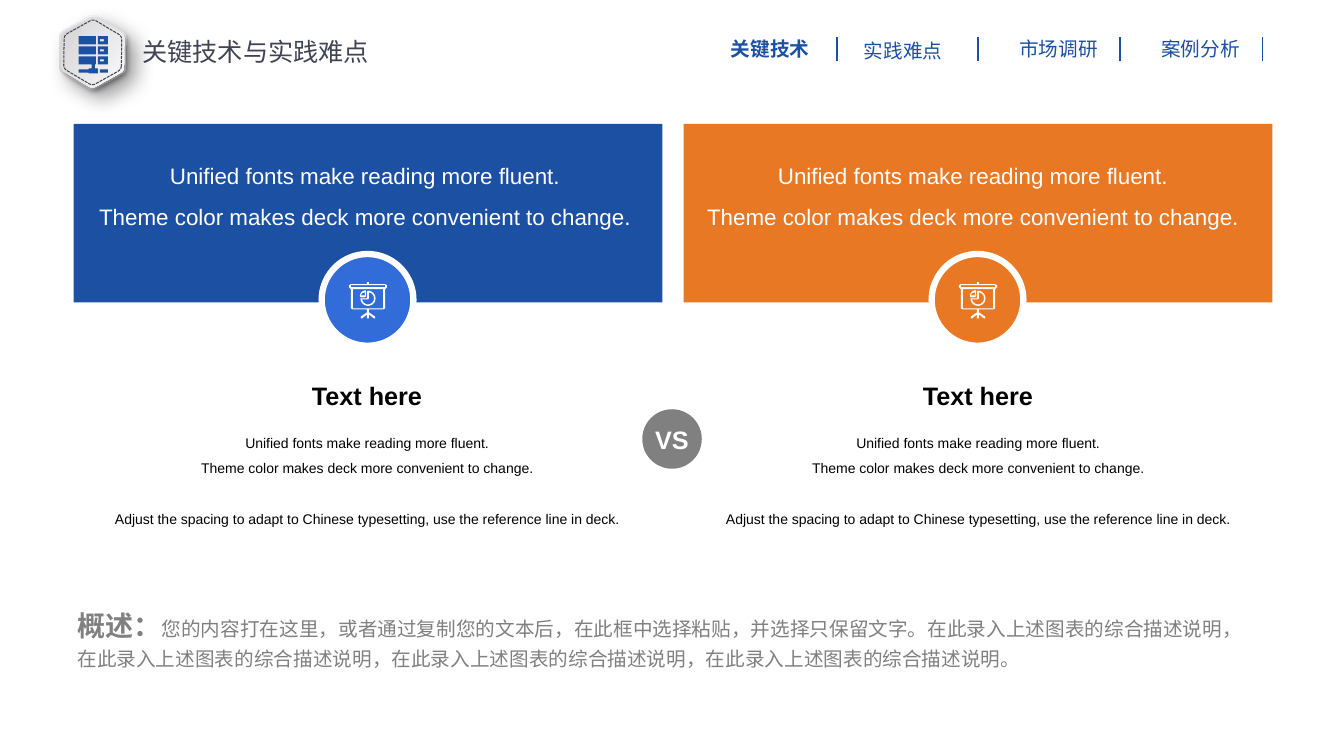
from dataclasses import dataclass
from math import cos, radians, sin

from lxml.etree import SubElement
from pptx import Presentation
from pptx.dml.color import RGBColor
from pptx.enum.dml import MSO_LINE
from pptx.enum.shapes import MSO_CONNECTOR, MSO_SHAPE as Preset
from pptx.enum.text import MSO_ANCHOR as Anchor, MSO_AUTO_SIZE, PP_ALIGN as Align
from pptx.oxml.ns import qn
from pptx.shapes.base import BaseShape
from pptx.util import Emu, Pt

EMU_PER_PX = 9144
LATIN, CJK = "Arial", "Noto Sans CJK SC"
COLOURS = {
    "blue": "1C50A2", "bright": "326CD8", "orange": "E87823", "grey": "808080",
    "ink": "414455", "white": "FFFFFF", "black": "000000",
    "silver": "D3D3D3", "pale": "F9F9F9",
}
Point = tuple[float, float]
Contour = list[Point]


@dataclass(frozen=True)
class Card:
    x: int
    lead_x: int
    body_x: int
    fill: str
    dot: str


@dataclass(frozen=True)
class NavItem:
    label: str
    x: int
    y: int
    divider_x: int
    bold: bool = False


@dataclass(frozen=True)
class Shadow:
    blur: int
    distance: int


CARDS = [
    Card(73, 70, 72, "blue", "bright"),
    Card(678, 673, 678, "orange", "orange"),
]
NAV = [
    NavItem("关键技术", 715, 32, 830, True),
    NavItem("实践难点", 847, 34, 970),
    NavItem("市场调研", 1001, 32, 1111),
    NavItem("案例分析", 1142, 32, 1252),
]
LEAD = [
    "Unified fonts make reading more fluent.",
    "Theme color makes deck more convenient to change.",
]
DETAIL = "Adjust the spacing to adapt to Chinese typesetting, use the reference line in deck."
OVERVIEW = (
    "您的内容打在这里，或者通过复制您的文本后，在此框中选择粘贴，并选择只保留文字。"
    "在此录入上述图表的综合描述说明，在此录入上述图表的综合描述说明，"
    "在此录入上述图表的综合描述说明，在此录入上述图表的综合描述说明。"
)


def px(n: float) -> Emu:
    return Emu(round(n * EMU_PER_PX))


def rgb(name: str) -> RGBColor:
    return RGBColor.from_string(COLOURS[name])


def style(p, size: int | None, colour: str, bold: bool = False, font: str = LATIN) -> None:
    f = p.font
    f.name, f.bold = font, bold
    f.color.rgb = rgb(colour)
    if size:
        f.size = Pt(size)
    latin = next(p._p.iter(qn("a:latin")))
    latin.addnext(latin.makeelement(qn("a:ea"), typeface=CJK))


def add_text(x: int, y: int, w: int, h: int, lines: list[str], size: int, colour: str,
             bold: bool = False, align: Align = Align.CENTER, spacing: float = 1.0,
             anchor: Anchor = Anchor.TOP, wrap: bool = True):
    tf = s.shapes.add_textbox(px(x), px(y), px(w), px(h)).text_frame
    tf.word_wrap, tf.vertical_anchor = wrap, anchor
    tf.text = "\n".join(lines)
    for p in tf.paragraphs:
        p.alignment, p.line_spacing = align, spacing
        style(p, size, colour, bold)
    return tf


def add_preset(kind: Preset, x: int, y: int, w: int, h: int, fill: str) -> BaseShape:
    sp = s.shapes.add_shape(kind, px(x), px(y), px(w), px(h))
    sp.shadow.inherit = False
    sp.fill.solid()
    sp.fill.fore_color.rgb = rgb(fill)
    sp.line.fill.background()
    return sp


def add_outline(contours: list[Contour], dx: int = 0, dy: int = 0) -> BaseShape:
    """Draw closed contours as one shape; inner contours become holes."""
    paths = [[(px(x + dx), px(y + dy)) for x, y in c] for c in contours]
    builder = s.shapes.build_freeform(*paths[0][0])
    for i, path in enumerate(paths):
        if i:
            builder.move_to(*path[0])
        builder.add_line_segments(path[1:], close=True)
    sp = builder.convert_to_shape()
    sp.shadow.inherit = False
    sp.line.fill.background()
    return sp


def add_icon(contours: list[Contour], x: int, y: int, fill: str) -> None:
    sp = add_outline(contours, x, y)
    sp.fill.solid()
    sp.fill.fore_color.rgb = rgb(fill)


def box(left: int, top: int, right: int, bottom: int) -> Contour:
    return [(left, top), (right, top), (right, bottom), (left, bottom)]


def arc(cx: int, cy: int, r: float, start: int, end: int) -> Contour:
    angles = [radians(start + (end - start) * i / 24) for i in range(25)]
    return [(cx + r * cos(a), cy + r * sin(a)) for a in angles]


def rounded_hexagon(radius: int) -> Contour:
    cx, cy, tilt, cut = 92, 52, 0.8, 0.11
    corners = [(cx + radius * cos(radians(a + tilt)), cy + radius * sin(radians(a + tilt)))
               for a in range(30, 390, 60)]
    points = []
    for i, v in enumerate(corners):
        start, end = ([c + cut * (n - c) for c, n in zip(v, near)]
                      for near in (corners[i - 1], corners[(i + 1) % 6]))
        for t in (0, 0.25, 0.5, 0.75, 1):
            points.append(tuple((1 - t) ** 2 * a + 2 * t * (1 - t) * c + t * t * b
                                for a, c, b in zip(start, v, end)))
    return points


def add_badge_layer(radius: int, angle: int, shadow: Shadow) -> None:
    sp = add_outline([rounded_hexagon(radius)])
    sp.fill.gradient()
    sp.fill.gradient_angle = angle
    for stop, name in zip(sp.fill.gradient_stops, ("silver", "pale")):
        stop.color.rgb = rgb(name)
    effects = sp._element.spPr.find(qn("a:effectLst"))
    outer = SubElement(effects, qn("a:outerShdw"), blurRad=str(Pt(shadow.blur)),
                       dist=str(Pt(shadow.distance)), dir="2700000", algn="tl", rotWithShape="0")
    colour = SubElement(outer, qn("a:srgbClr"), val=COLOURS["black"])
    SubElement(colour, qn("a:alpha"), val="40000")


def add_divider(x: int) -> None:
    line = s.shapes.add_connector(MSO_CONNECTOR.STRAIGHT, px(x), px(37), px(x), px(61))
    line.line.color.rgb = rgb("blue")
    line.line.width = Pt(1)
    SubElement(line._element.spPr, qn("a:effectLst"))


SERVER = [box(0, 33, 10, 36), box(10, 32, 19, 37), box(21, 33, 29, 36), box(13, 28, 16, 32)]
for row in (0, 10, 20):
    SERVER += [box(0, row, 17, row + 8), box(19, row, 29, row + 8),
               box(21, row + 3, 25, row + 5)]

BOARD = [
    [(20, 0), (20, 2), (36, 2), (38, 3), (38, 5), (36, 7), (36, 26), (34, 27), (20, 27),
     (20, 30), (26, 34), (26, 36), (25, 36), (20, 32), (20, 36), (18, 36), (18, 32),
     (13, 36), (12, 36), (12, 34), (18, 30), (18, 27), (4, 27), (2, 26), (2, 7), (0, 5),
     (0, 3), (2, 2), (18, 2), (18, 0)],
    box(4, 7, 34, 26),
    box(2, 3, 36, 5),
    arc(19, 16, 7.5, -90, 180) + [(18, 16), (18, 9)],
    arc(19, 16, 6, -80, 170) + [(19, 17), (20, 16)],
    arc(17, 14, 6, 180, 270) + [(17, 14), (16, 15), (12, 15)],
    [(16, 10), (13, 11), (12, 13), (16, 13)],
]

prs = Presentation()
prs.slide_width, prs.slide_height = px(1333), px(750)
s = prs.slides.add_slide(prs.slide_layouts[5])

title = s.shapes.title
title.left, title.top, title.width, title.height = px(134), px(32), px(306), px(38)
tf = title.text_frame
tf.text = "关键技术与实践难点"
tf.auto_size, tf.vertical_anchor, tf.word_wrap = MSO_AUTO_SIZE.NONE, Anchor.TOP, True
tf.margin_left = tf.margin_right = px(7)
tf.margin_top = tf.margin_bottom = px(4)
tf.paragraphs[0].alignment = Align.LEFT
style(tf.paragraphs[0], 18, "ink", font=CJK)

add_badge_layer(38, 59, Shadow(15, 9))
add_badge_layer(36, 329, Shadow(4, 3))
stitching = add_outline([rounded_hexagon(33)])
stitching.fill.background()
stitching.line.color.rgb = rgb("ink")
stitching.line.width = Pt(0.75)
stitching.line.dash_style = MSO_LINE.SQUARE_DOT
add_icon(SERVER, 78, 36, "blue")

for item in NAV:
    add_text(item.x, item.y, 99, 34, [item.label], 14, "blue", item.bold, Align.LEFT, wrap=False)
    add_divider(item.divider_x)

for card in CARDS:
    add_preset(Preset.RECTANGLE, card.x, 123, 584, 177, card.fill)
    dot = add_preset(Preset.OVAL, card.x + 246, 252, 91, 91, card.dot)
    dot.line.color.rgb = rgb("white")
    dot.line.width = Pt(4.5)
    add_icon(BOARD, card.x + 273, 280, "white")
    add_text(card.lead_x, 143, 584, 87, LEAD, 16, "white", spacing=1.5)
    add_text(card.body_x, 366, 584, 52, ["Text here"], 18, "black", True, anchor=Anchor.MIDDLE)
    body = add_text(card.body_x, 418, 584, 125, [*LEAD, DETAIL], 10, "black", spacing=1.5)
    body.paragraphs[-1].space_before = Pt(18)

versus = add_preset(Preset.OVAL, 637, 406, 59, 59, "grey").text_frame
versus.text = "VS"
versus.word_wrap, versus.vertical_anchor = False, Anchor.MIDDLE
versus.paragraphs[0].alignment = Align.CENTER
style(versus.paragraphs[0], 18, "white", True)

tf = s.shapes.add_textbox(px(67), px(592), px(1174), px(79)).text_frame
tf.word_wrap = True
p = tf.paragraphs[0]
p.line_spacing = 1.2
style(p, None, "grey", font=CJK)
for text, size, bold in (("概述：", 20, True), (OVERVIEW, 14, False)):
    r = p.add_run()
    r.text, r.font.size, r.font.bold = text, Pt(size), bold

prs.save("out.pptx")
